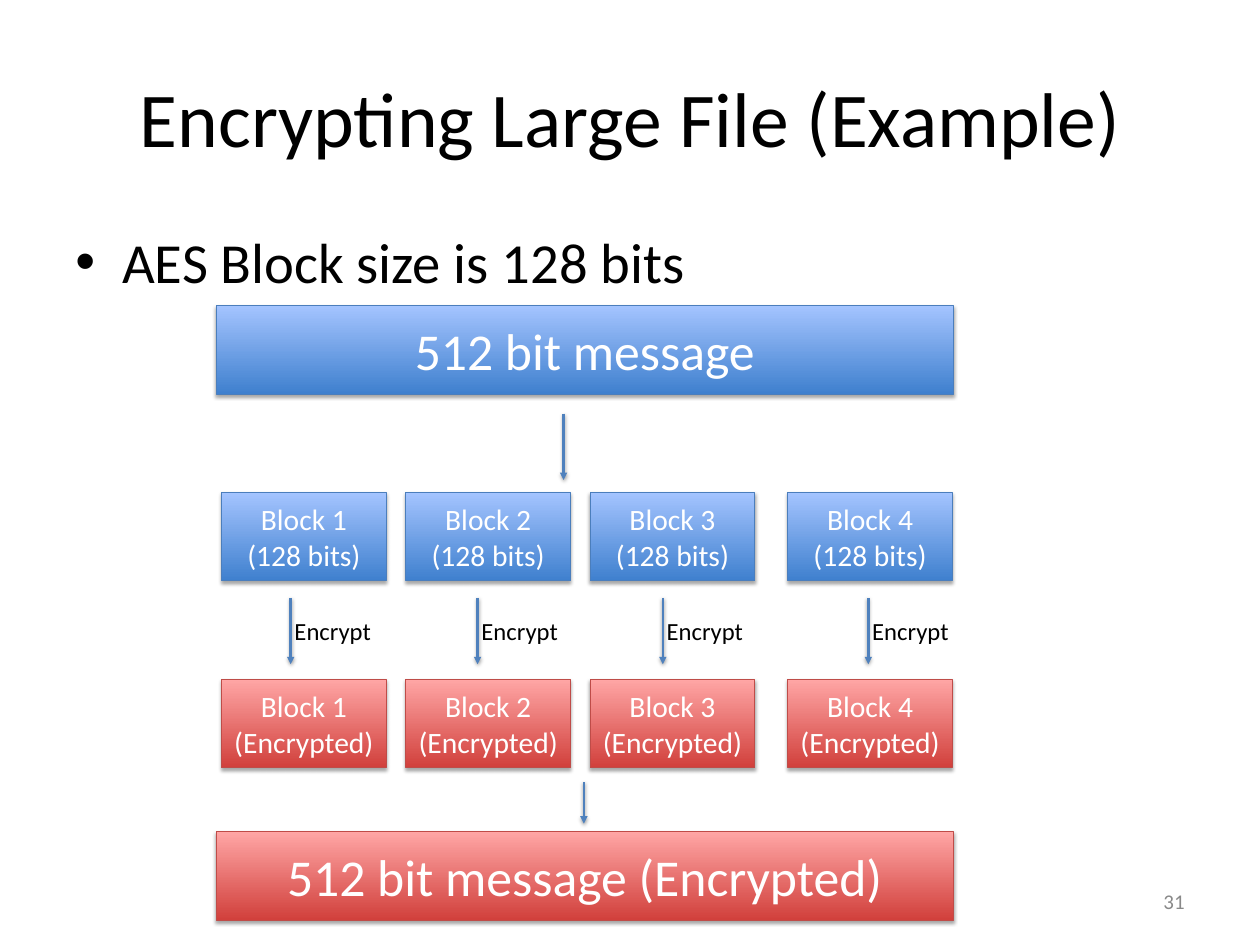
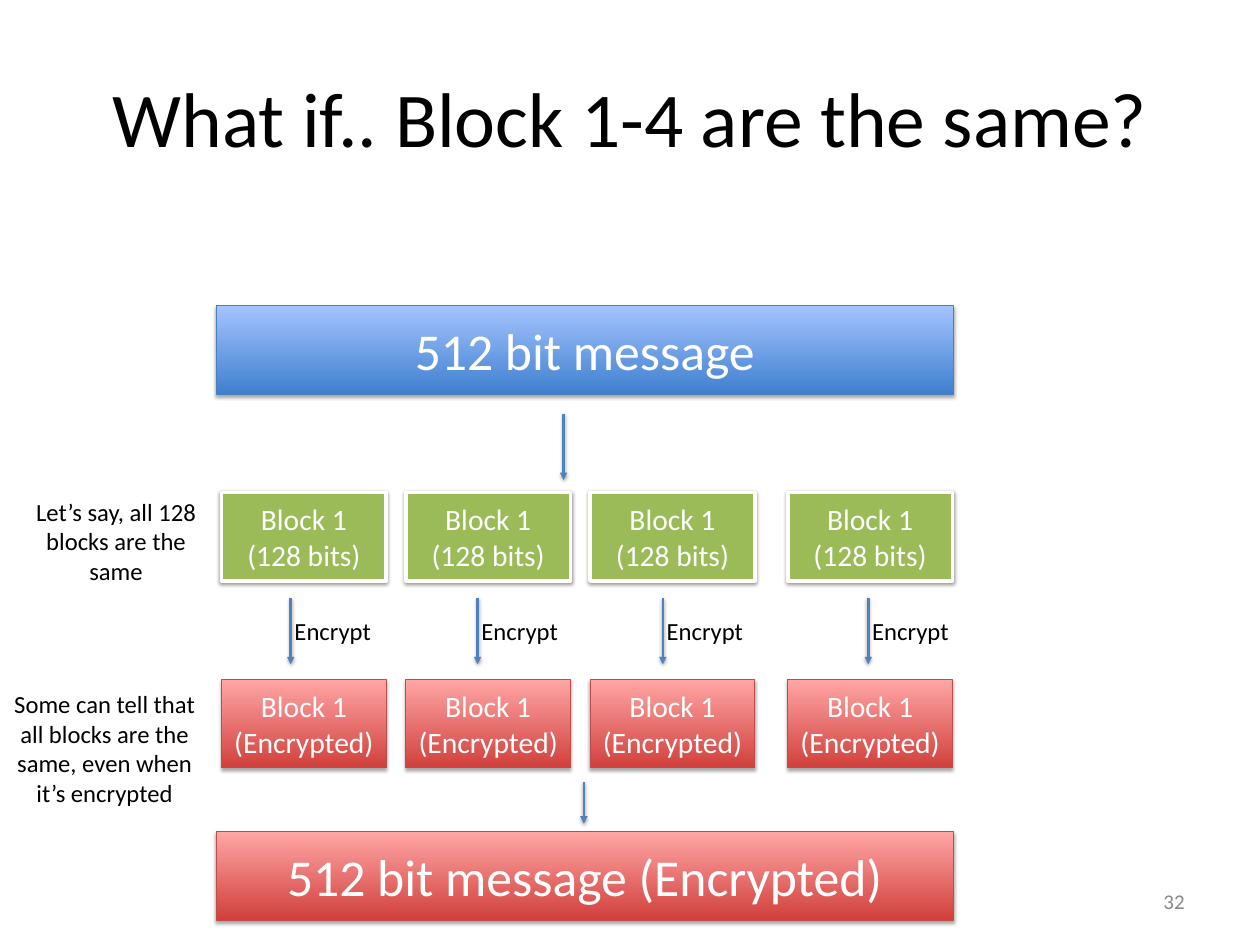
from dataclasses import dataclass
from typing import NamedTuple

from lxml.etree import SubElement
from pptx import Presentation
from pptx.dml.color import RGBColor
from pptx.enum.shapes import MSO_CONNECTOR as Connector, MSO_SHAPE as Shape
from pptx.enum.text import MSO_ANCHOR as Anchor, MSO_AUTO_SIZE as AutoSize, PP_ALIGN as Align
from pptx.oxml.ns import qn
from pptx.util import Emu, Inches, Pt

FONT = "Calibri"
BLACK, WHITE, GREY, ARROW_BLUE = "000000", "FFFFFF", "898989", "4F81BD"
PAGE_WIDTH, PAGE_HEIGHT = 14.22, 10.67
MARGIN = 0.71
CONTENT_WIDTH = PAGE_WIDTH - 2 * MARGIN

BAR_LEFT, BAR_WIDTH = 2.44, 8.32
BLOCK_LEFT, BLOCK_WIDTH, BLOCK_PITCH = 2.5, 1.86, 2.08
LAST_BLOCK_SHIFT = 0.15
BOX_HEIGHT = 1.0
ROW_TOP, ROW_PITCH = 3.45, 2.11
MESSAGE_TOP, PLAIN_TOP, CIPHER_TOP = (ROW_TOP + ROW_PITCH * row for row in range(3))
RESULT_TOP = 9.39
ARROW_XS = (3.28, 5.39, 7.48, 9.8)


class Area(NamedTuple):
    left: float
    top: float
    width: float
    height: float


@dataclass(frozen=True)
class Shadow:
    opacity: int
    distance: float
    blur: float = 3.1


@dataclass(frozen=True)
class BoxStyle:
    """One fill colour is solid; two run from bottom to top."""
    fill: tuple[str, ...]
    line: str
    line_width: float
    shadow: Shadow


@dataclass(frozen=True)
class SideNote:
    area: Area
    text: str


@dataclass(frozen=True)
class CipherPage:
    title: str
    number: int
    block_numbers: tuple[int, ...]
    plain_style: BoxStyle
    bullet: str = ""
    notes: tuple[SideNote, ...] = ()


SOFT_SHADOW = Shadow(35, 1.8)
CLOSE_SHADOW = Shadow(38, 1.6)
BLUE = BoxStyle(("3F80CE", "A4C4FF"), "4B7EBC", 0.75, SOFT_SHADOW)
RED = BoxStyle(("D1403C", "FFA6A5"), "BF4C48", 0.75, SOFT_SHADOW)
GREEN = BoxStyle(("9BBB59",), WHITE, 3, CLOSE_SHADOW)

PAGES = (
    CipherPage("Encrypting Large File (Example)", 31, (1, 2, 3, 4), BLUE,
               bullet="AES Block size is 128 bits"),
    CipherPage("What if.. Block 1-4 are the same?", 32, (1, 1, 1, 1), GREEN, notes=(
        SideNote(Area(0.18, PLAIN_TOP, 2.26, 1.11), "Let’s say, all 128 blocks are the same"),
        SideNote(Area(0.05, 7.73, 2.26, 1.78),
                 "Some can tell that all blocks are the same, even when it’s encrypted"),
    )),
)


def color(value: str) -> RGBColor:
    return RGBColor.from_string(value)


def inches(area: Area) -> tuple[Emu, ...]:
    return tuple(Inches(length) for length in area)


def write(frame, text: str, size: float, text_color: str = BLACK, align=Align.CENTER) -> None:
    frame.text = text
    for para in frame.paragraphs:
        para.alignment = align
        for span in para.runs:
            span.font.name = FONT
            span.font.size = Pt(size)
            span.font.color.rgb = color(text_color)


def use_wide_insets(frame) -> None:
    frame.margin_left = frame.margin_right = Inches(0.14)
    frame.margin_top = frame.margin_bottom = Inches(0.07)


def add_shadow(shape, shadow: Shadow) -> None:
    """Cast a black shadow downwards; call once fill and line are set."""
    effects = SubElement(shape.element.spPr, qn("a:effectLst"))
    outer = SubElement(effects, qn("a:outerShdw"), blurRad=str(Pt(shadow.blur)),
                       dist=str(Pt(shadow.distance)), dir="5400000", rotWithShape="0")
    tone = SubElement(outer, qn("a:srgbClr"), val=BLACK)
    SubElement(tone, qn("a:alpha"), val=str(shadow.opacity * 1000))


def add_box(slide, area: Area, text: str, size: float, style: BoxStyle) -> None:
    box = slide.shapes.add_shape(Shape.RECTANGLE, *inches(area))
    if len(style.fill) == 1:
        box.fill.solid()
        box.fill.fore_color.rgb = color(style.fill[0])
    else:
        box.fill.gradient()
        box.fill.gradient_angle = 90
        for position, (stop, shade) in enumerate(zip(box.fill.gradient_stops, style.fill)):
            stop.position = position
            stop.color.rgb = color(shade)
    box.line.color.rgb = color(style.line)
    box.line.width = Pt(style.line_width)
    add_shadow(box, style.shadow)
    box.text_frame.vertical_anchor = Anchor.MIDDLE
    write(box.text_frame, text, size, WHITE)


def add_down_arrow(slide, x: float, top: float, bottom: float) -> None:
    arrow = slide.shapes.add_connector(
        Connector.STRAIGHT, Inches(x), Inches(top), Inches(x), Inches(bottom))
    arrow.line.color.rgb = color(ARROW_BLUE)
    arrow.line.width = Pt(2)
    SubElement(arrow.element.spPr.find(qn("a:ln")), qn("a:tailEnd"), type="triangle")
    add_shadow(arrow, CLOSE_SHADOW)


def add_label(slide, area: Area, text: str, wrap: bool) -> None:
    frame = slide.shapes.add_textbox(*inches(area)).text_frame
    frame.word_wrap = wrap
    frame.auto_size = AutoSize.SHAPE_TO_FIT_TEXT
    write(frame, text, 20)


def add_title(slide, text: str) -> None:
    title = slide.shapes.title
    title.left, title.top, title.width, title.height = inches(
        Area(MARGIN, 0.43, CONTENT_WIDTH, 1.78))
    frame = title.text_frame
    use_wide_insets(frame)
    frame.word_wrap = True
    frame.auto_size = AutoSize.NONE
    frame.vertical_anchor = Anchor.MIDDLE
    write(frame, text, 63)


def add_bullet(slide, text: str) -> None:
    frame = slide.shapes.add_textbox(*inches(Area(MARGIN, 2.49, CONTENT_WIDTH, 1.18))).text_frame
    use_wide_insets(frame)
    frame.word_wrap = True
    write(frame, text, 46, align=Align.LEFT)
    properties = frame.paragraphs[0]._p.get_or_add_pPr()
    properties.set("marL", str(Inches(0.53)))
    properties.set("indent", str(-Inches(0.53)))
    before = SubElement(properties, qn("a:spcBef"))
    SubElement(before, qn("a:spcPct"), val="20000")
    SubElement(properties, qn("a:buFont"), typeface="Arial")
    SubElement(properties, qn("a:buChar"), char="•")


def add_page_number(slide, number: int) -> None:
    frame = slide.shapes.add_textbox(*inches(Area(10.19, 9.89, 3.32, 0.57))).text_frame
    use_wide_insets(frame)
    frame.word_wrap = True
    frame.vertical_anchor = Anchor.MIDDLE
    write(frame, str(number), 17, GREY, Align.RIGHT)


def add_block_row(slide, top: float, numbers: tuple[int, ...], state: str,
                  style: BoxStyle) -> None:
    for column, number in enumerate(numbers):
        shift = LAST_BLOCK_SHIFT if column == len(numbers) - 1 else 0
        left = BLOCK_LEFT + column * BLOCK_PITCH + shift
        add_box(slide, Area(left, top, BLOCK_WIDTH, BOX_HEIGHT),
                f"Block {number}\n({state})", 24, style)


def add_cipher_diagram(slide, page: CipherPage) -> None:
    add_box(slide, Area(BAR_LEFT, MESSAGE_TOP, BAR_WIDTH, BOX_HEIGHT),
            "512 bit message", 42, BLUE)
    add_down_arrow(slide, 6.36, 4.67, 5.42)
    add_block_row(slide, PLAIN_TOP, page.block_numbers, "128 bits", page.plain_style)
    for x in ARROW_XS:
        add_down_arrow(slide, x, 6.75, 7.5)
        add_label(slide, Area(x - 0.1, 6.91, 1.15, 0.44), "Encrypt", wrap=False)
    add_block_row(slide, CIPHER_TOP, page.block_numbers, "Encrypted", RED)
    add_box(slide, Area(BAR_LEFT, RESULT_TOP, BAR_WIDTH, BOX_HEIGHT),
            "512 bit message (Encrypted)", 42, RED)
    add_down_arrow(slide, 6.59, 8.83, 9.3)


def add_page(deck, page: CipherPage) -> None:
    slide = deck.slides.add_slide(deck.slide_layouts.get_by_name("Title Only"))
    add_title(slide, page.title)
    if page.bullet:
        add_bullet(slide, page.bullet)
    add_page_number(slide, page.number)
    add_cipher_diagram(slide, page)
    for note in page.notes:
        add_label(slide, note.area, note.text, wrap=True)


def main() -> None:
    deck = Presentation()
    deck.slide_width, deck.slide_height = Inches(PAGE_WIDTH), Inches(PAGE_HEIGHT)
    for page in PAGES:
        add_page(deck, page)
    deck.save("out.pptx")


if __name__ == "__main__":
    main()
